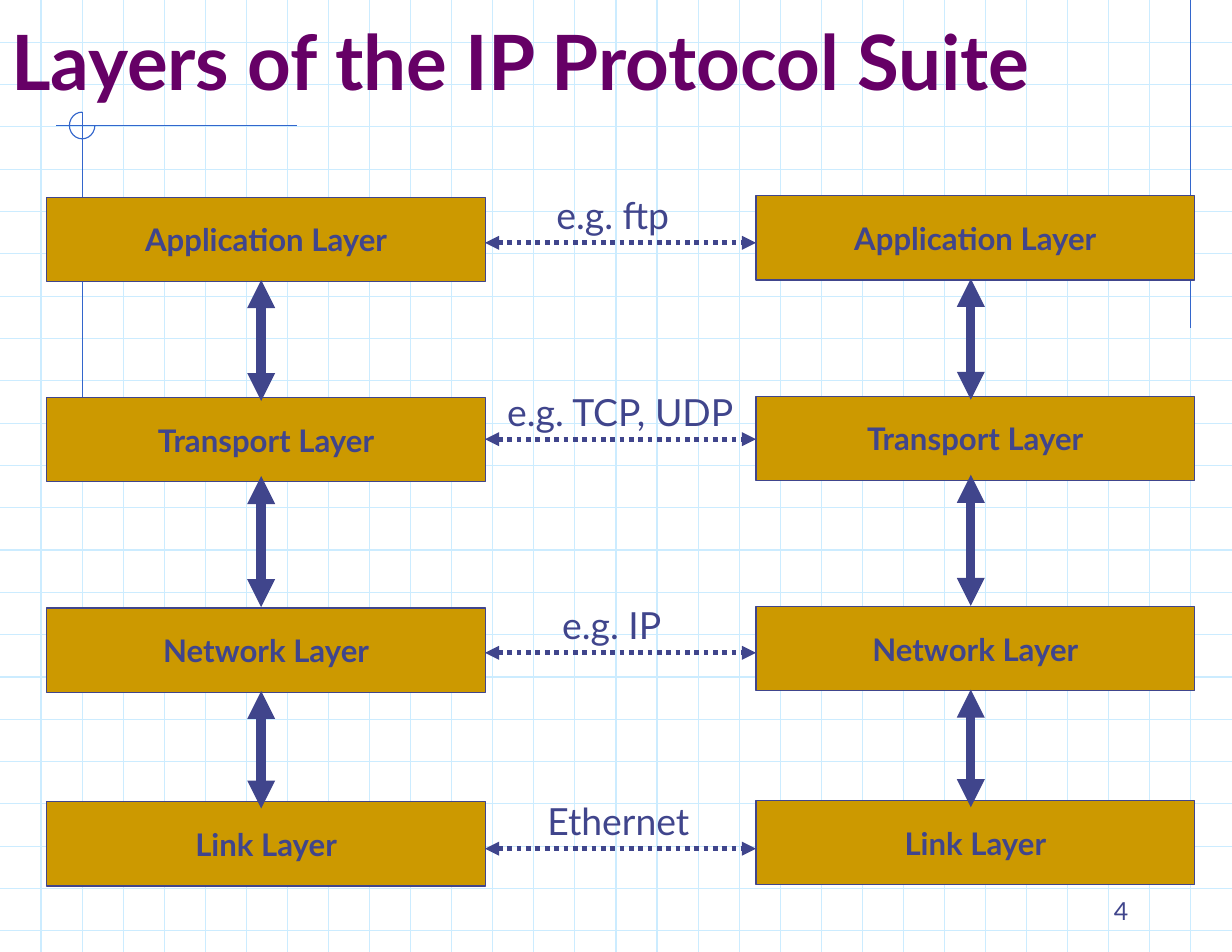
"""Build a slide that compares the IP protocol layers of two hosts."""
import lxml.etree
import pptx
import pptx.dml.color
import pptx.enum.dml
import pptx.enum.shapes
import pptx.enum.text
import pptx.oxml.ns
import pptx.util

RGBColor = pptx.dml.color.RGBColor
GRID_BLUE = RGBColor(0xCC, 0xEC, 0xFF)
FRAME_BLUE = RGBColor(0x33, 0x66, 0xCC)
INDIGO = RGBColor(0x40, 0x45, 0x8C)
GOLD = RGBColor(0xCC, 0x99, 0x00)
PURPLE = RGBColor(0x66, 0x00, 0x66)

WIDTH, HEIGHT = pptx.util.Inches(11), pptx.util.Inches(8.5)
COLUMN, ROW = WIDTH / 30, HEIGHT / 22.5
BOX_WIDTH, BOX_HEIGHT = 10.68, 1.99
LABEL_HEIGHT = 1.32
LAYERS = [
    ("Application Layer", 4.66),
    ("Transport Layer", 9.4),
    ("Network Layer", 14.37),
    ("Link Layer", 18.95),
]
STACK_ARROWS = [(6.62, 9.48), (11.25, 14.35), (16.33, 19.11)]
STACKS = [(1.14, 6.36, 0), (18.41, 23.64, -0.03)]
PEER_LEFT, PEER_RIGHT = 11.81, 18.41
PEERS = [
    ("e.g. ftp", 5.74, 13.28, 3.55),
    ("e.g. TCP, UDP", 10.38, 12.08, 6.33),
    ("e.g. IP", 15.43, 13.42, 3.19),
    ("Ethernet", 20.06, 13.06, 4.23),
]
ALIGN = pptx.enum.text.PP_ALIGN
ANCHOR = pptx.enum.text.MSO_ANCHOR


def place(left, top, width, height):
    """Turn columns and rows into lengths."""
    return round(left * COLUMN), round(top * ROW), round(width * COLUMN), round(height * ROW)


def add_line(slide, start, end, color, weight=0.75):
    """Draw a straight line between two grid points."""
    connector = slide.shapes.add_connector(
        pptx.enum.shapes.MSO_CONNECTOR.STRAIGHT, *place(*start, *end))
    connector.line.color.rgb = color
    connector.line.width = pptx.util.Pt(weight)
    lxml.etree.SubElement(connector._element.spPr, pptx.oxml.ns.qn("a:effectLst"))
    return connector


def add_double_arrow(slide, start, end, weight, dash=None):
    """Draw a line with a triangle at each end."""
    connector = add_line(slide, start, end, INDIGO, weight)
    if dash:
        connector.line.dash_style = dash
    for tag in ("a:headEnd", "a:tailEnd"):
        lxml.etree.SubElement(connector.line._get_or_add_ln(), pptx.oxml.ns.qn(tag), type="triangle")


def write(shape, text, size, color=INDIGO, bold=False, align=ALIGN.LEFT, anchor=ANCHOR.TOP, wrap=False):
    """Fill a shape with one styled paragraph."""
    frame = shape.text_frame
    frame.word_wrap = wrap
    frame.vertical_anchor = anchor
    paragraph = frame.paragraphs[0]
    paragraph.text = text
    paragraph.alignment = align
    paragraph.font.name = "Lato"
    paragraph.font.size = pptx.util.Pt(size)
    paragraph.font.bold = bold
    paragraph.font.color.rgb = color


def add_text(slide, area, text, size, **style):
    """Add a text box on a grid area."""
    write(slide.shapes.add_textbox(*place(*area)), text, size, **style)


def add_layer(slide, left, top, name):
    """Add one named layer box."""
    shape = slide.shapes.add_shape(
        pptx.enum.shapes.MSO_SHAPE.RECTANGLE, *place(left, top, BOX_WIDTH, BOX_HEIGHT))
    shape.shadow.inherit = False
    shape.fill.solid()
    shape.fill.fore_color.rgb = GOLD
    shape.line.color.rgb = INDIGO
    shape.line.width = pptx.util.Pt(0.75)
    write(shape, name, 20, bold=True, align=ALIGN.CENTER, anchor=ANCHOR.MIDDLE)


def add_background(slide):
    """Draw the graph paper and the ornament lines."""
    for row in range(1, 23):
        add_line(slide, (0, row), (30, row), GRID_BLUE)
    for column in range(1, 30):
        add_line(slide, (column, 0), (column, 22.5), GRID_BLUE)
    add_line(slide, (29, 0), (29, 7.76), FRAME_BLUE)
    add_line(slide, (7.23, 2.96), (1.36, 2.96), FRAME_BLUE)
    add_line(slide, (2, 2.65), (2, 10.27), FRAME_BLUE)
    arc = slide.shapes.add_shape(
        pptx.enum.shapes.MSO_SHAPE.ARC, *place(1.69, 2.65, 0.62, 0.63))
    arc.adjustments[0] = 0
    arc.adjustments[1] = 162
    arc.shadow.inherit = False
    arc.fill.background()
    arc.line.color.rgb = FRAME_BLUE
    arc.line.width = pptx.util.Pt(0.75)


def add_stack(slide, left, axis, shift):
    """Add the four layers of one host and the arrows between them."""
    for name, top in LAYERS:
        add_layer(slide, left, top + shift, name)
    for start, end in STACK_ARROWS:
        add_double_arrow(slide, (axis, start + shift), (axis, end + shift), 6)


def add_peer(slide, label, row, left, width):
    """Add a dotted arrow between hosts with its protocol above."""
    add_double_arrow(slide, (PEER_LEFT, row), (PEER_RIGHT, row), 3,
                     pptx.enum.dml.MSO_LINE.ROUND_DOT)
    add_text(slide, (left, row - LABEL_HEIGHT, width, LABEL_HEIGHT), label, 24)


def main():
    """Build and save the presentation."""
    presentation = pptx.Presentation()
    presentation.slide_width, presentation.slide_height = WIDTH, HEIGHT
    slide = presentation.slides.add_slide(presentation.slide_layouts[6])
    add_background(slide)
    add_text(slide, (21.49, 20.49, 6.25, 1.51), "4", 16,
             align=ALIGN.RIGHT, anchor=ANCHOR.BOTTOM, wrap=True)
    add_text(slide, (0, 1, 29.32, 1.64), "Layers of the IP Protocol Suite", 49,
             color=PURPLE, bold=True, anchor=ANCHOR.BOTTOM, wrap=True)
    for stack in STACKS:
        add_stack(slide, *stack)
    for peer in PEERS:
        add_peer(slide, *peer)
    presentation.save("out.pptx")


if __name__ == "__main__":
    main()
